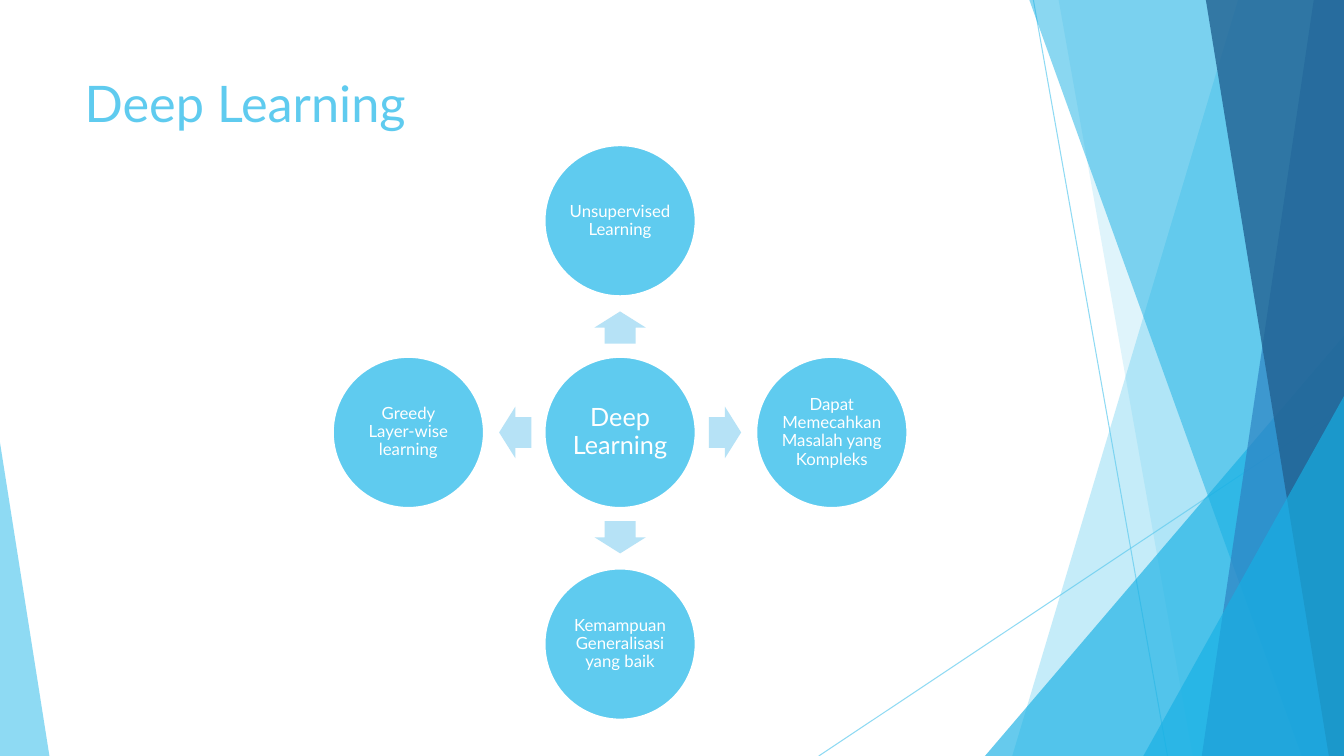
import lxml.etree
import pptx
import pptx.dml.color
import pptx.enum.shapes
import pptx.enum.text
import pptx.oxml.ns
import pptx.util

RGBColor = pptx.dml.color.RGBColor
Shape = pptx.enum.shapes.MSO_SHAPE
Anchor = pptx.enum.text.MSO_ANCHOR
Align = pptx.enum.text.PP_ALIGN
qn = pptx.oxml.ns.qn

SKY = RGBColor(0x5F, 0xCB, 0xEF)
CYAN = RGBColor(0x17, 0xB0, 0xE4)
BLUE = RGBColor(0x2E, 0x83, 0xC3)
NAVY = RGBColor(0x22, 0x62, 0x92)
PALE = RGBColor(0xB6, 0xE2, 0xF6)
WHITE = RGBColor(0xFF, 0xFF, 0xFF)
FONT = "Lato"

TITLE = "Deep Learning"
HUB = "Deep Learning"
# text, horizontal direction, vertical direction, arrow rotation
SPOKES = [
    ("Unsupervised Learning", 0, -1, 270),
    ("Dapat Memecahkan Masalah yang Kompleks", 1, 0, 0),
    ("Kemampuan Generalisasi yang baik", 0, 1, 90),
    ("Greedy Layer-wise learning", -1, 0, 180),
]

# The slide is a grid of 100 columns by 100 rows.
WIDTH, HEIGHT = pptx.util.Inches(13.33), pptx.util.Inches(7.5)
COLUMN, ROW = WIDTH / 100, HEIGHT / 100

TITLE_BOX = (5.55, 8.93, 70.52, 19.2)
RAYS = [(76.89, 0, 86.87, 100), (100, 53.73, 60.92, 100)]
# Facets reach the right edge: top column, bottom column, colour, opacity.
# Triangles reach the bottom: left, right, top, apex, colour, opacity.
BACKDROP = [
    ("facet", 92.12, 75.32, SKY, 36),
    ("facet", 78.77, 88.75, SKY, 20),
    ("triangle", 73.29, 100, 44.4, 1, CYAN, 66),
    ("facet", 76.59, 96.85, CYAN, 50),
    ("facet", 97.75, 89.42, BLUE, 70),
    ("facet", 89.72, 98.87, NAVY, 80),
    ("triangle", 85.07, 100, 52.4, 1, CYAN, 66),
    ("triangle", 0, 3.68, 58.53, 0, SKY, 70),
]

# Diagram lengths, in rows
CENTRE = (46.14 * COLUMN, 57.2 * ROW)
DIAMETER = 20
SPOKE_REACH = 28
ARROW_REACH = 13.87
ARROW_LENGTH, ARROW_BREADTH = 4.27, 6.8


def grid(left, top, width, height):
    """Turn columns and rows into slide lengths."""
    return [int(v) for v in (left * COLUMN, top * ROW, width * COLUMN, height * ROW)]


def set_opacity(element, percent):
    colour = element.find(".//" + qn("a:srgbClr"))
    lxml.etree.SubElement(colour, qn("a:alpha"), val=str(percent * 1000))


def paint(shape, colour, opacity=100, outline=None):
    shape.shadow.inherit = False
    shape.fill.solid()
    shape.fill.fore_color.rgb = colour
    if opacity < 100:
        set_opacity(shape.fill._xPr.find(qn("a:solidFill")), opacity)
    if outline is None:
        shape.line.fill.background()
    else:
        shape.line.color.rgb = outline
        shape.line.width = pptx.util.Pt(1.5)


def write(shape, text, size, colour, align=Align.LEFT, anchor=Anchor.TOP,
          spacing=1.0, inset=None):
    frame = shape.text_frame
    frame.word_wrap = True
    frame.auto_size = pptx.enum.text.MSO_AUTO_SIZE.NONE
    frame.vertical_anchor = anchor
    if inset is not None:
        frame.margin_left = frame.margin_right = pptx.util.Inches(inset)
        frame.margin_top = frame.margin_bottom = pptx.util.Inches(inset)
    paragraph = frame.paragraphs[0]
    paragraph.alignment = align
    paragraph.line_spacing = spacing
    run = paragraph.add_run()
    run.text = text
    run.font.name = FONT
    run.font.size = pptx.util.Pt(size)
    run.font.color.rgb = colour


def add_ray(shapes, left, top, right, bottom):
    begin, end = grid(left, top, right, bottom)[:2], grid(left, top, right, bottom)[2:]
    ray = shapes.add_connector(pptx.enum.shapes.MSO_CONNECTOR.STRAIGHT, *begin, *end)
    ray.line.color.rgb = SKY
    ray.line.width = pptx.util.Pt(0.75)
    properties = ray._element.spPr
    set_opacity(properties, 70)
    lxml.etree.SubElement(properties, qn("a:effectLst"))


def add_facet(shapes, top_column, bottom_column, colour, opacity):
    corners = [(top_column, 0), (100, 0), (100, 100), (bottom_column, 100)]
    points = [(int(x * COLUMN), int(y * ROW)) for x, y in corners]
    builder = shapes.build_freeform(*points[0])
    builder.add_line_segments(points[1:], close=True)
    paint(builder.convert_to_shape(), colour, opacity)


def add_triangle(shapes, left, right, top, apex, colour, opacity):
    triangle = shapes.add_shape(Shape.ISOSCELES_TRIANGLE,
                                *grid(left, top, right - left, 100 - top))
    triangle.adjustments[0] = apex
    paint(triangle, colour, opacity)


def add_centred(shapes, kind, across, down, width, height):
    """Add a shape centred at an offset from the hub, all in rows."""
    x, y = CENTRE
    return shapes.add_shape(kind, int(x + (across - width / 2) * ROW),
                            int(y + (down - height / 2) * ROW),
                            int(width * ROW), int(height * ROW))


def add_circle(shapes, text, size, across=0, down=0, inset=0.02):
    circle = add_centred(shapes, Shape.OVAL, across, down, DIAMETER, DIAMETER)
    paint(circle, SKY, outline=WHITE)
    write(circle, text, size, WHITE, align=Align.CENTER, anchor=Anchor.MIDDLE,
          spacing=0.9, inset=inset)


def add_arrow(shapes, across, down, rotation):
    arrow = add_centred(shapes, Shape.RIGHT_ARROW, across, down,
                        ARROW_LENGTH, ARROW_BREADTH)
    arrow.adjustments[0], arrow.adjustments[1] = 0.6, 0.5
    arrow.rotation = rotation
    paint(arrow, PALE)


def main():
    presentation = pptx.Presentation()
    presentation.slide_width, presentation.slide_height = WIDTH, HEIGHT
    slide = presentation.slides.add_slide(presentation.slide_layouts[5])
    shapes = slide.shapes

    for ray in RAYS:
        add_ray(shapes, *ray)
    draw = {"facet": add_facet, "triangle": add_triangle}
    for kind, *details in BACKDROP:
        draw[kind](shapes, *details)

    title = shapes.title
    title.left, title.top, title.width, title.height = grid(*TITLE_BOX)
    write(title, TITLE, 36, SKY)

    add_circle(shapes, HUB, 18, inset=0.03)
    for text, across, down, rotation in SPOKES:
        add_arrow(shapes, across * ARROW_REACH, down * ARROW_REACH, rotation)
        add_circle(shapes, text, 12, across * SPOKE_REACH, down * SPOKE_REACH)

    presentation.save("out.pptx")


if __name__ == "__main__":
    main()
